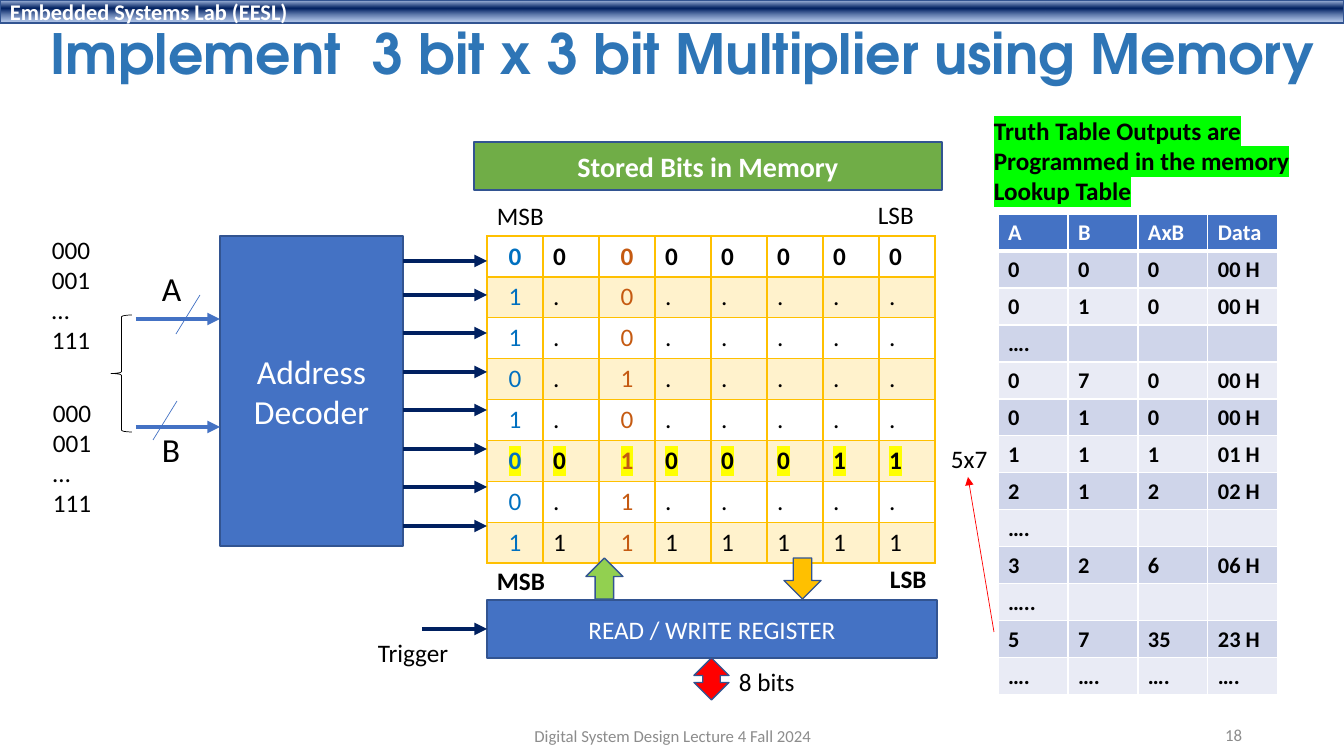
import dataclasses

import lxml.etree
import pptx
import pptx.dml.color
import pptx.enum.shapes
import pptx.enum.text
import pptx.oxml.ns
import pptx.util

EMU_PER_INCH, PX_PER_INCH = 914400, 100.8
SHAPES = pptx.enum.shapes.MSO_SHAPE
ALIGN = pptx.enum.text.PP_ALIGN
ANCHOR = pptx.enum.text.MSO_ANCHOR


@dataclasses.dataclass(frozen=True)
class Theme:
    body_font: str = "Calibri"
    title_font: str = "TeX Gyre Adventor"
    title_size: float = 39.6
    large: int = 24
    heading: int = 20
    normal: int = 18
    small: int = 16
    footer: int = 12
    black: str = "000000"
    white: str = "FFFFFF"
    grey: str = "8C8C8C"
    title: str = "2E75B6"
    blue: str = "4472C4"
    outline: str = "325491"
    navy: str = "002060"
    red: str = "FF0000"
    gold: str = "FFC000"
    lime: str = "92D050"
    green: str = "70AD47"
    first_bit: str = "0070C0"
    third_bit: str = "C55A11"
    yellow_mark: str = "FFFF00"
    green_mark: str = "00FF00"
    bands: tuple = ("CFD5EA", "E9EBF5")
    # position, colour, opacity (thousandths of a percent)
    bar_stops: tuple = ((2000, "ABC0E4", 100000), (38000, "002060", 100000),
                        (93000, "7E9ED6", 64000))


THEME = Theme()

MEMORY_ROWS = ["00000000", "1.0.....", "1.0.....", "0.1.....",
               "1.0.....", "00100011", "0.1.....", "11111111"]
TOP_ROW, PRODUCT_ROW = 0, 5
TRUTH_ROWS = [
    ("A", "B", "AxB", "Data"), ("0", "0", "0", "00 H"), ("0", "1", "0", "00 H"),
    ("….", "", "", ""), ("0", "7", "0", "00 H"), ("0", "1", "0", "00 H"),
    ("1", "1", "1", "01 H"), ("2", "1", "2", "02 H"), ("….", "", "", ""),
    ("3", "2", "6", "06 H"), ("…..", "", "", ""), ("5", "7", "35", "23 H"),
    ("….", "….", "….", "….")]


def px(*lengths):
    return [pptx.util.Emu(round(n * EMU_PER_INCH / PX_PER_INCH)) for n in lengths]


def rgb(colour):
    return pptx.dml.color.RGBColor.from_string(colour)


def add_xml(parent, tag, **attributes):
    return lxml.etree.SubElement(parent, pptx.oxml.ns.qn(tag), **attributes)


def write(frame, text, size, colour, bold=False, align=ALIGN.LEFT, mark=None,
          font=THEME.body_font):
    frame.text = text
    for para in frame.paragraphs:
        para.alignment = align
        for span in para.runs:
            span.font.size = pptx.util.Pt(size)
            span.font.bold = bold
            span.font.color.rgb = rgb(colour)
            if mark:
                highlight = add_xml(span.font._element, "a:highlight")
                add_xml(highlight, "a:srgbClr", val=mark)
            span.font.name = font
        if not para.runs:
            add_xml(para._p, "a:endParaRPr", sz=str(size * 100))


def add_label(page, place, text, size=THEME.normal, colour=THEME.black, wrap=False,
              anchor=ANCHOR.TOP, **style):
    box = page.shapes.add_textbox(*px(*place))
    box.text_frame.word_wrap = wrap
    box.text_frame.vertical_anchor = anchor
    write(box.text_frame, text, size, colour, **style)


def add_block(page, kind, place, fill=None, line=THEME.outline, width=1):
    block = page.shapes.add_shape(kind, *px(*place))
    block.shadow.inherit = False
    if fill:
        block.fill.solid()
        block.fill.fore_color.rgb = rgb(fill)
    else:
        block.fill.background()
    block.line.color.rgb = rgb(line)
    block.line.width = pptx.util.Pt(width)
    return block


def add_panel(page, place, fill, text, size, bold=False):
    panel = add_block(page, SHAPES.RECTANGLE, place, fill)
    panel.text_frame.vertical_anchor = ANCHOR.MIDDLE
    write(panel.text_frame, text, size, THEME.white, bold, ALIGN.CENTER)


def add_line(page, ends, colour, width, arrow=True):
    line = page.shapes.add_connector(pptx.enum.shapes.MSO_CONNECTOR.STRAIGHT, *px(*ends))
    line.line.color.rgb = rgb(colour)
    line.line.width = pptx.util.Pt(width)
    if arrow:
        add_xml(line.line._get_or_add_ln(), "a:tailEnd", type="triangle")
    add_xml(line._element.spPr, "a:effectLst")


def add_grid(page, left, top, columns, rows, column_width, row_height):
    grid = page.shapes.add_table(rows, columns, *px(
        left, top, columns * column_width, rows * row_height)).table
    grid.first_row = grid.horz_banding = False
    for column in grid.columns:
        column.width = px(column_width)[0]
    for row in grid.rows:
        row.height = px(row_height)[0]
    return grid


def style_cell(cell, fill, border, top=1, bottom=1, opacity=None):
    if fill:
        cell.fill.solid()
        cell.fill.fore_color.rgb = rgb(fill)
    else:
        cell.fill.background()
    properties = cell._tc.get_or_add_tcPr()
    if opacity:
        colour = properties.find(".//" + pptx.oxml.ns.qn("a:srgbClr"))
        add_xml(colour, "a:alpha", val=str(opacity * 1000))
    sides = (("a:lnL", 1), ("a:lnR", 1), ("a:lnT", top), ("a:lnB", bottom))
    for index, (side, width) in enumerate(sides):
        edge = add_xml(properties, side, w=str(pptx.util.Pt(width)))
        add_xml(add_xml(edge, "a:solidFill"), "a:srgbClr", val=border)
        properties.insert(index, edge)


def add_header(page):
    bar = add_block(page, SHAPES.RECTANGLE, (0, 0, 1344, 23), THEME.navy)
    bar.fill.gradient()
    bar.fill.gradient_angle = 270
    stops = bar._element.spPr.find(".//" + pptx.oxml.ns.qn("a:gsLst"))
    stops[:] = []
    for position, colour, opacity in THEME.bar_stops:
        stop = add_xml(stops, "a:gs", pos=str(position))
        add_xml(add_xml(stop, "a:srgbClr", val=colour), "a:alpha", val=str(opacity))
    bar.text_frame.vertical_anchor = ANCHOR.MIDDLE
    write(bar.text_frame, "Embedded Systems Lab (EESL)", THEME.small, THEME.white, True)

    title = page.shapes.title
    title.left, title.top, title.width, title.height = px(40, 21, 1301, 72)
    title.text_frame.vertical_anchor = ANCHOR.MIDDLE
    write(title.text_frame, "Implement  3 bit x 3 bit Multiplier using Memory",
          THEME.title_size, THEME.title, True, font=THEME.title_font)
    title.text_frame.paragraphs[0].line_spacing = 0.9


def add_memory_table(page):
    grid = add_grid(page, 487, 236, 8, len(MEMORY_ROWS), 56, 40)
    special = {0: THEME.first_bit, 2: THEME.third_bit}
    for r, bits in enumerate(MEMORY_ROWS):
        for c, bit in enumerate(bits):
            cell = grid.cell(r, c)
            write(cell.text_frame, bit, THEME.normal, special.get(c, THEME.black),
                  bold=r in (TOP_ROW, PRODUCT_ROW),
                  align=ALIGN.CENTER if c in special else ALIGN.LEFT,
                  mark=THEME.yellow_mark if r == PRODUCT_ROW else None)
            style_cell(cell, THEME.gold if r % 2 else None, THEME.gold,
                       top=2 if r == 1 else 1, bottom=2 if r == 0 else 1,
                       opacity=20 if r % 2 else None)


def add_truth_table(page):
    add_label(page, (984, 110, 319, 102), "Truth Table Outputs are\n"
              "Programmed in the memory\nLookup Table", bold=True, mark=THEME.green_mark)
    grid = add_grid(page, 998, 214, 4, len(TRUTH_ROWS), 70, 37)
    for r, values in enumerate(TRUTH_ROWS):
        for c, value in enumerate(values):
            cell = grid.cell(r, c)
            write(cell.text_frame, value, THEME.small,
                  THEME.black if r else THEME.white, bold=True)
            style_cell(cell, THEME.bands[(r - 1) % 2] if r else THEME.blue, THEME.white,
                       top=3 if r == 1 else 1, bottom=1 if r else 3)
    # Pointer from the 5 x 7 entry to its memory row
    add_line(page, (994, 632, 968, 477), THEME.red, 0.5)
    add_label(page, (941, 438, 57, 40), "5x7")


def add_decoder(page):
    add_panel(page, (220, 236, 183, 310), THEME.blue, "Address\nDecoder", THEME.large)
    for name, name_top, y, slash in (("A", 263, 319, (200, 295, 176, 334)),
                                     ("B", 424, 427, (177, 401, 153, 440))):
        add_line(page, (136, y, 220, y), THEME.blue, 3)
        add_line(page, slash, THEME.blue, 0.5, arrow=False)
        add_label(page, (152, name_top, 47, 50), name, THEME.large)
    for left, top in ((42, 229), (43, 392)):
        add_label(page, (left, top, 59, 132), "000\n001\n…\n111")
    add_block(page, SHAPES.LEFT_BRACE, (111, 315, 21, 117), None, THEME.black, 0.5)
    # Word lines into the memory
    for y in [261] + [295 + 77 * n // 2 for n in range(7)]:
        add_line(page, (403, y, 487, y), THEME.navy, 3)


def add_register(page):
    add_panel(page, (487, 600, 450, 58), THEME.blue, "READ / WRITE REGISTER", THEME.normal)
    add_line(page, (422, 629, 487, 629), THEME.navy, 3)
    add_block(page, SHAPES.UP_DOWN_ARROW, (694, 658, 35, 42), THEME.red)
    add_block(page, SHAPES.UP_ARROW, (586, 558, 37, 41), THEME.lime)
    add_block(page, SHAPES.UP_ARROW, (784, 558, 37, 41), THEME.gold).rotation = 180
    add_label(page, (729, 661, 77, 40), "8 bits")
    add_label(page, (368, 632, 92, 40), "Trigger")


def main():
    deck = pptx.Presentation()
    deck.slide_width, deck.slide_height = px(1344, 756)
    page = deck.slides.add_slide(deck.slide_layouts[5])
    add_header(page)

    # Memory with its bit labels
    add_memory_table(page)
    add_panel(page, (474, 142, 468, 48), THEME.green, "Stored Bits in Memory",
              THEME.heading, True)
    for place, text, bold in (((487, 195, 68, 40), "MSB", False),
                              ((868, 194, 56, 40), "LSB", False),
                              ((487, 560, 69, 40), "MSB", True),
                              ((880, 558, 57, 40), "LSB", True)):
        add_label(page, place, text, bold=bold)

    add_truth_table(page)
    add_decoder(page)
    add_register(page)

    # Footer and page number
    for place, text, align in (
            ((446, 716, 454, 40), "Digital System Design Lecture 4 Fall 2024", ALIGN.CENTER),
            ((950, 715, 302, 40), "18", ALIGN.RIGHT)):
        add_label(page, place, text, THEME.footer, THEME.grey, True, ANCHOR.MIDDLE, align=align)
    deck.save("out.pptx")


if __name__ == "__main__":
    main()
